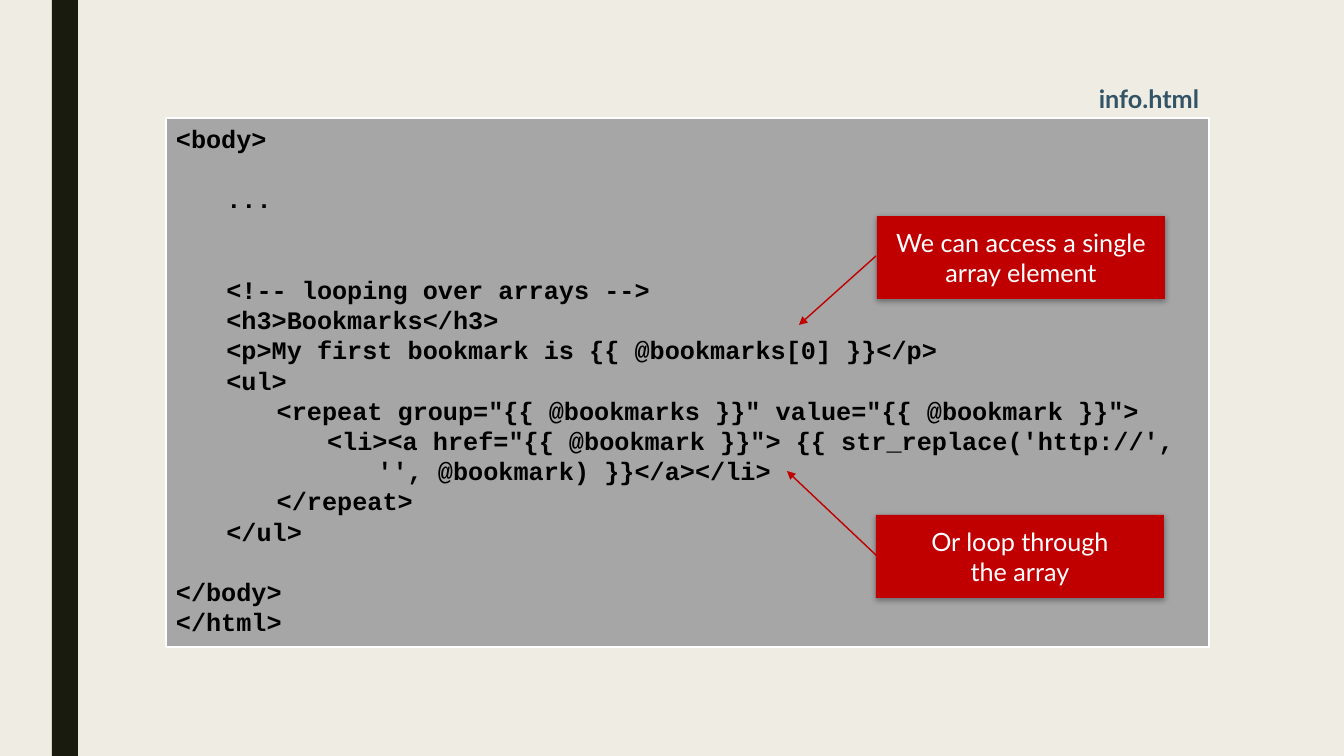
import dataclasses
import typing

import lxml.etree
import pptx
import pptx.dml.color
import pptx.enum.shapes
import pptx.enum.text
import pptx.oxml
import pptx.oxml.ns
import pptx.util

SCALE = pptx.util.Inches(1) / 100.8
INDENT = 50.4  # half an inch per code level
ALIGN = pptx.enum.text.PP_ALIGN
ANCHOR = pptx.enum.text.MSO_ANCHOR


@dataclasses.dataclass(frozen=True)
class Theme:
    background: str = "EFEDE3"
    bar: str = "191B0E"
    panel: str = "A6A6A6"
    border: str = "FFFFFF"
    code: str = "000000"
    title: str = "335366"
    accent: str = "C00000"
    on_accent: str = "FFFFFF"
    code_font: str = "Courier New"
    text_font: str = "Lato"
    size: float = 18
    leading: float = 21.6
    border_width: float = 1.5
    arrow_width: float = 1


class Box(typing.NamedTuple):
    left: int
    top: int
    width: int
    height: int


class CodeLine(typing.NamedTuple):
    text: str
    level: int = 0
    gap: int = 0  # empty lines above
    hang: int = 0  # extra levels after a line break


class Callout(typing.NamedTuple):
    text: str
    box: Box
    start: tuple[int, int]
    end: tuple[int, int]


THEME = Theme()
BAR = Box(52, 0, 26, 756)
PANEL = Box(166, 118, 1043, 529)
FILE_NAME = Box(1075, 78, 134, 40)

CODE = [
    CodeLine("<body>"),
    CodeLine("...", 1, gap=1),
    CodeLine("<!-- looping over arrays -->", 1, gap=2),
    CodeLine("<h3>Bookmarks</h3>", 1),
    CodeLine("<p>My first bookmark is {{ @bookmarks[0] }}</p>", 1),
    CodeLine("<ul>", 1),
    CodeLine('<repeat group="{{ @bookmarks }}" value="{{ @bookmark }}">', 2),
    CodeLine("<li><a href=\"{{ @bookmark }}\"> {{ str_replace('http://',"
             "\v'', @bookmark) }}</a></li>", 3, hang=1),
    CodeLine("</repeat>", 2),
    CodeLine("</ul>", 1),
    CodeLine("</body>", gap=1),
    CodeLine("</html>"),
]

CALLOUTS = [
    Callout("We can access a single array element",
            Box(877, 216, 288, 83), (876, 256), (799, 325)),
    Callout("Or loop through\vthe array",
            Box(876, 515, 288, 83), (877, 556), (787, 471)),
]


def px(value: float) -> int:
    return round(value * SCALE)


def rgb(value: str) -> pptx.dml.color.RGBColor:
    return pptx.dml.color.RGBColor.from_string(value)


def apply(target: typing.Any, values: dict[str, typing.Any]) -> None:
    for name, value in values.items():
        setattr(target, name, value)


def style(p: typing.Any, font: str, color: str, bold: bool, align: typing.Any) -> None:
    p.alignment = align
    for r in p.runs:
        apply(r.font, {"name": font, "size": pptx.util.Pt(THEME.size), "bold": bold})
        r.font.color.rgb = rgb(color)


def add_effects(sp: typing.Any) -> lxml.etree._Element:
    return lxml.etree.SubElement(sp._element.spPr, pptx.oxml.ns.qn("a:effectLst"))


def add_rect(slide: typing.Any, box: Box, fill: str) -> typing.Any:
    sp = slide.shapes.add_shape(pptx.enum.shapes.MSO_SHAPE.RECTANGLE, *map(px, box))
    sp.shadow.inherit = False
    sp.fill.solid()
    sp.fill.fore_color.rgb = rgb(fill)
    sp.line.fill.background()
    return sp


def add_code(slide: typing.Any, box: Box, lines: list[CodeLine]) -> None:
    sp = add_rect(slide, box, THEME.panel)
    sp.line.color.rgb = rgb(THEME.border)
    sp.line.width = pptx.util.Pt(THEME.border_width)
    tf = sp.text_frame
    apply(tf, {"word_wrap": True, "vertical_anchor": ANCHOR.TOP})
    for i, line in enumerate(lines):
        p = tf.add_paragraph() if i else tf.paragraphs[0]
        p.text = line.text
        style(p, THEME.code_font, THEME.code, True, ALIGN.LEFT)
        apply(p, {"line_spacing": pptx.util.Pt(THEME.leading),
                  "space_before": pptx.util.Pt(THEME.leading * line.gap)})
        pPr = p._p.get_or_add_pPr()
        pPr.set("marL", str(px(INDENT * (line.level + line.hang))))
        pPr.set("indent", str(px(-INDENT * line.hang)))


def add_file_name(slide: typing.Any, box: Box, text: str) -> None:
    tf = slide.shapes.add_textbox(*map(px, box)).text_frame
    tf.word_wrap = True
    p = tf.paragraphs[0]
    p.text = text
    style(p, THEME.text_font, THEME.title, True, ALIGN.RIGHT)


def add_callout(slide: typing.Any, item: Callout) -> None:
    sp = add_rect(slide, item.box, THEME.accent)
    # Soft shadow straight below the box
    sp._element.spPr.find(pptx.oxml.ns.qn("a:effectLst")).append(pptx.oxml.parse_xml(
        f'<a:outerShdw {pptx.oxml.ns.nsdecls("a")} blurRad="57150" dist="19050" '
        'dir="5400000" algn="ctr" rotWithShape="0"><a:srgbClr val="000000">'
        '<a:alpha val="35000"/></a:srgbClr></a:outerShdw>'))
    tf = sp.text_frame
    apply(tf, {"word_wrap": True, "vertical_anchor": ANCHOR.MIDDLE})
    p = tf.paragraphs[0]
    p.text = item.text
    style(p, THEME.text_font, THEME.on_accent, False, ALIGN.CENTER)

    # Arrow from the box to the code
    cxn = slide.shapes.add_connector(pptx.enum.shapes.MSO_CONNECTOR.STRAIGHT,
                                     *map(px, item.start + item.end))
    cxn.line.color.rgb = rgb(THEME.accent)
    cxn.line.width = pptx.util.Pt(THEME.arrow_width)
    lxml.etree.SubElement(cxn.line._get_or_add_ln(), pptx.oxml.ns.qn("a:tailEnd"),
                          type="triangle")
    add_effects(cxn)


# Slide
prs = pptx.Presentation()
apply(prs, {"slide_width": px(1344), "slide_height": px(756)})
slide = prs.slides.add_slide(prs.slide_layouts[6])
slide.background.fill.solid()
slide.background.fill.fore_color.rgb = rgb(THEME.background)

# Side bar, code panel and its file name
add_rect(slide, BAR, THEME.bar)
add_code(slide, PANEL, CODE)
add_file_name(slide, FILE_NAME, "info.html")

# Callouts
for callout in CALLOUTS:
    add_callout(slide, callout)

prs.save("out.pptx")
